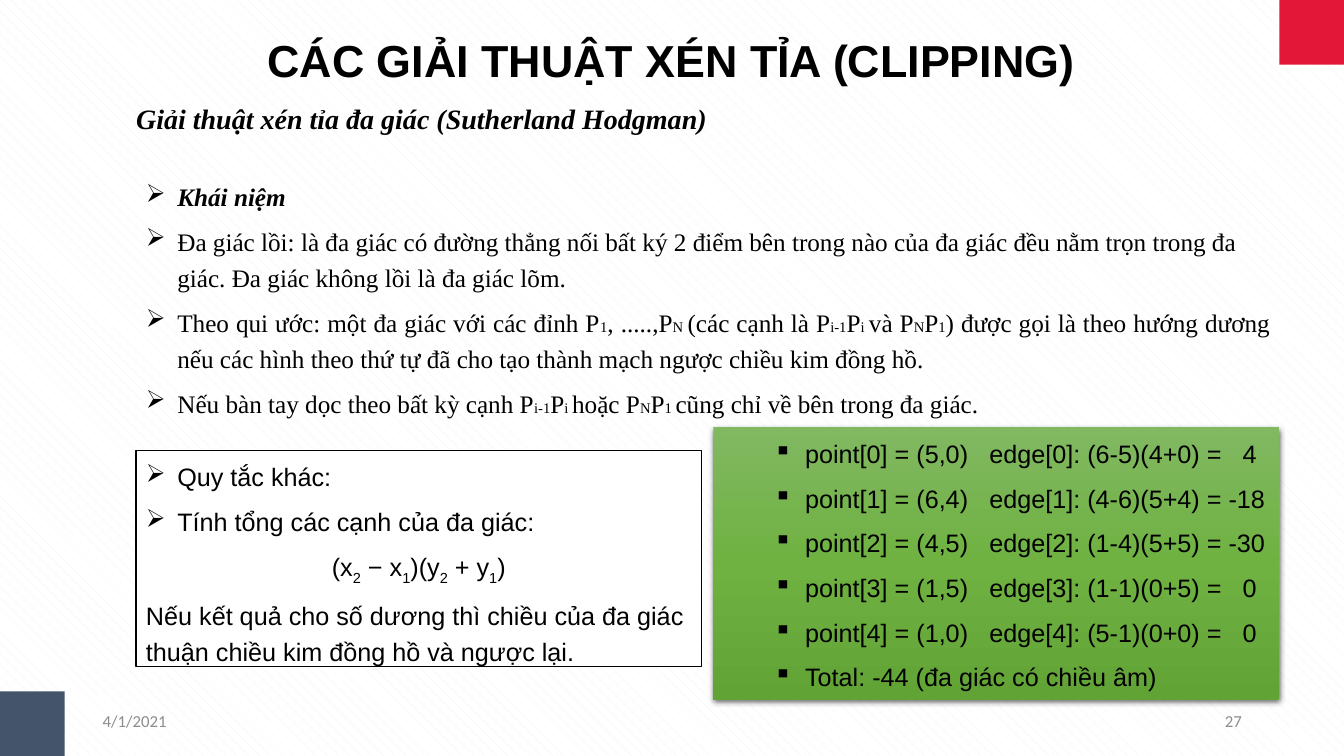
from copy import deepcopy

from lxml.etree import SubElement
from pptx import Presentation
from pptx.dml.color import RGBColor
from pptx.enum.dml import MSO_PATTERN
from pptx.enum.shapes import MSO_SHAPE
from pptx.enum.text import MSO_ANCHOR, PP_ALIGN
from pptx.oxml.ns import qn
from pptx.util import Cm, Pt

BLACK = RGBColor(0x00, 0x00, 0x00)
WHITE = RGBColor(0xFF, 0xFF, 0xFF)
PATTERN_GRAY = RGBColor(0xF2, 0xF2, 0xF2)
FOOTER_GRAY = RGBColor(0x8C, 0x8C, 0x8C)
RED = RGBColor(0xE3, 0x17, 0x37)
NAVY = RGBColor(0x44, 0x54, 0x6A)
GREENS = [RGBColor(0x81, 0xB8, 0x61), RGBColor(0x6F, 0xB2, 0x42),
          RGBColor(0x62, 0xA3, 0x36)]

SERIF = "Times New Roman"
SANS = "Arial"
LEFT = 3.43
PANEL_W = 14.25
HANG = 0.79

SMALL = dict(size=10.5)
SUBSCRIPT = dict(baseline=-25000)
WIDE_GAP = dict(spacing=1000)

POINTS = [(5, 0), (6, 4), (4, 5), (1, 5), (1, 0)]


def add_run(p, text, size=18, font=SANS, color=BLACK, bold=False,
            italic=False, baseline=None, spacing=None):
    r = p.add_run()
    r.text = text
    r.font.size = Pt(size)
    r.font.name = font
    r.font.color.rgb = color
    r.font.bold = bold
    r.font.italic = italic
    for name, value in (("baseline", baseline), ("spc", spacing)):
        if value is not None:
            r.font._element.set(name, str(value))


def add_text(tf, text, align=PP_ALIGN.LEFT, bullet=None, indent=0,
             line_spacing=None, alt=None, **fmt):
    """Add a paragraph; the parts between bars take the alt format."""
    first = not tf.paragraphs[0].runs
    p = tf.paragraphs[0] if first else tf.add_paragraph()
    p.alignment = align
    if bullet:
        pPr = p._p.get_or_add_pPr()
        pPr.set("marL", str(Cm(indent)))
        pPr.set("indent", str(-Cm(HANG)))
        SubElement(pPr, qn("a:buChar")).set("char", bullet)
    if line_spacing:
        p.line_spacing = line_spacing
        p.space_before = Pt(0 if first else 6)
    for i, part in enumerate(text.split("|")):
        if part:
            add_run(p, part, **{**fmt, **(alt if i % 2 else {})})


def add_box(slide, left, top, width, height, anchor=MSO_ANCHOR.TOP,
            inset=True):
    sp = slide.shapes.add_textbox(Cm(left), Cm(top), Cm(width), Cm(height))
    tf = sp.text_frame
    tf.word_wrap = True
    tf.vertical_anchor = anchor
    if not inset:
        tf.margin_left = tf.margin_right = 0
        tf.margin_top = tf.margin_bottom = 0
    return tf


def add_rect(slide, left, top, width, height, fill=None, line=None):
    sp = slide.shapes.add_shape(MSO_SHAPE.RECTANGLE, Cm(left), Cm(top),
                                Cm(width), Cm(height))
    sp.shadow.inherit = False
    if fill is not None:
        sp.fill.solid()
        sp.fill.fore_color.rgb = fill
    if line is None:
        sp.line.fill.background()
    else:
        sp.line.color.rgb = line
        sp.line.width = Pt(1)
    sp.text_frame.word_wrap = True
    sp.text_frame.vertical_anchor = MSO_ANCHOR.TOP
    return sp


def add_gradient(sp, colors):
    sp.fill.gradient()
    sp.fill.gradient_angle = 270
    stops = sp._element.spPr.find(qn("a:gradFill")).find(qn("a:gsLst"))
    stops.insert(1, deepcopy(stops[0]))
    for i, (stop, color) in enumerate(zip(sp.fill.gradient_stops, colors)):
        stop.position = i / (len(colors) - 1)
        stop.color.rgb = color


def add_shadow(sp):
    effects = sp._element.spPr.find(qn("a:effectLst"))
    shadow = SubElement(effects, qn("a:outerShdw"), blurRad=str(Pt(4.5)),
                        dist=str(Pt(1.5)), dir="5400000", rotWithShape="0")
    color = SubElement(shadow, qn("a:srgbClr"), val=str(BLACK))
    SubElement(color, qn("a:alpha"), val="63000")


def add_concepts(slide):
    tf = add_box(slide, LEFT, 4.29, 28.83, 6.43)
    fmt = dict(bullet="➢", indent=HANG, line_spacing=1.2, font=SERIF,
               alt=SMALL)
    add_text(tf, "Khái niệm", bold=True, italic=True, **fmt)
    add_text(tf, "Đa giác lồi: là đa giác có đường thẳng nối bất ký 2 điểm "
             "bên trong nào của đa giác đều nằm trọn trong đa giác. "
             "Đa giác không lồi là đa giác lõm.", **fmt)
    add_text(tf, "Theo qui ước: một đa giác với các đỉnh P|1|, .....,P|N |"
             "(các cạnh là P|i-1|P|i |và P|N|P|1|) được gọi là theo hướng "
             "dương nếu các hình theo thứ tự đã cho tạo thành mạch ngược "
             "chiều kim đồng hồ.", align=PP_ALIGN.JUSTIFY, **fmt)
    add_text(tf, "Nếu bàn tay dọc theo bất kỳ cạnh P|i-1|P|i |hoặc "
             "P|N|P|1 |cũng chỉ về bên trong đa giác.", **fmt)


def add_example(slide):
    sp = add_rect(slide, 17.98, 10.77, PANEL_W, 6.86)
    add_gradient(sp, GREENS)
    add_shadow(sp)
    fmt = dict(bullet="▪", indent=2.06, line_spacing=1.2, alt=WIDE_GAP)
    total = 0
    for i, (x1, y1) in enumerate(POINTS):
        x2, y2 = POINTS[(i + 1) % len(POINTS)]
        value = (x2 - x1) * (y2 + y1)
        total += value
        gap = " " if value < 0 else "| |"
        add_text(sp.text_frame, f"point[{i}] = ({x1},{y1})| |edge[{i}]: "
                 f"({x2}-{x1})({y2}+{y1}) ={gap}{value}", **fmt)
    add_text(sp.text_frame, f"Total: {total} (đa giác có chiều âm)", **fmt)


def add_rule(slide):
    tf = add_rect(slide, LEFT, 11.35, PANEL_W, 5.44, WHITE, BLACK).text_frame
    for text in ("Quy tắc khác:", "Tính tổng các cạnh của đa giác:"):
        add_text(tf, text, bullet="➢", indent=HANG, line_spacing=1.2)
    add_text(tf, "(x|2| − x|1|)(y|2| + y|1|)", align=PP_ALIGN.CENTER,
             line_spacing=1.2, alt=SUBSCRIPT)
    add_text(tf, "Nếu kết quả cho số dương thì chiều của đa giác thuận "
             "chiều kim đồng hồ và ngược lại.", line_spacing=1.2)


def main():
    prs = Presentation()
    prs.slide_width, prs.slide_height = Cm(33.87), Cm(19.05)
    slide = prs.slides.add_slide(prs.slide_layouts[6])

    # Background and corner squares
    bg = slide.background.fill
    bg.patterned()
    bg.pattern = MSO_PATTERN.SHINGLE
    bg.fore_color.rgb = PATTERN_GRAY
    bg.back_color.rgb = WHITE
    add_rect(slide, 32.24, 0, 1.63, 1.63, RED)
    add_rect(slide, 0, 17.42, 1.63, 1.63, NAVY)

    # Footer
    for left, text, align in ((2.34, "4/1/2021", PP_ALIGN.LEFT),
                              (23.93, "27", PP_ALIGN.RIGHT)):
        tf = add_box(slide, left, 17.65, 7.62, 1.02, MSO_ANCHOR.MIDDLE)
        add_text(tf, text, align=align, size=12, font="Calibri",
                 color=FOOTER_GRAY)

    # Headings
    tf = add_box(slide, 4.06, 0.81, 25.73, 1.37, MSO_ANCHOR.MIDDLE, False)
    add_text(tf, "CÁC GIẢI THUẬT XÉN TỈA (CLIPPING)",
             align=PP_ALIGN.CENTER, size=32, bold=True)
    tf = add_box(slide, LEFT, 2.57, 28.55, 0.86, inset=False)
    add_text(tf, "Giải thuật xén tỉa đa giác (Sutherland Hodgman)",
             size=20, font=SERIF, bold=True, italic=True)

    # Body and panels
    add_concepts(slide)
    add_example(slide)
    add_rule(slide)

    prs.save("out.pptx")


if __name__ == "__main__":
    main()
